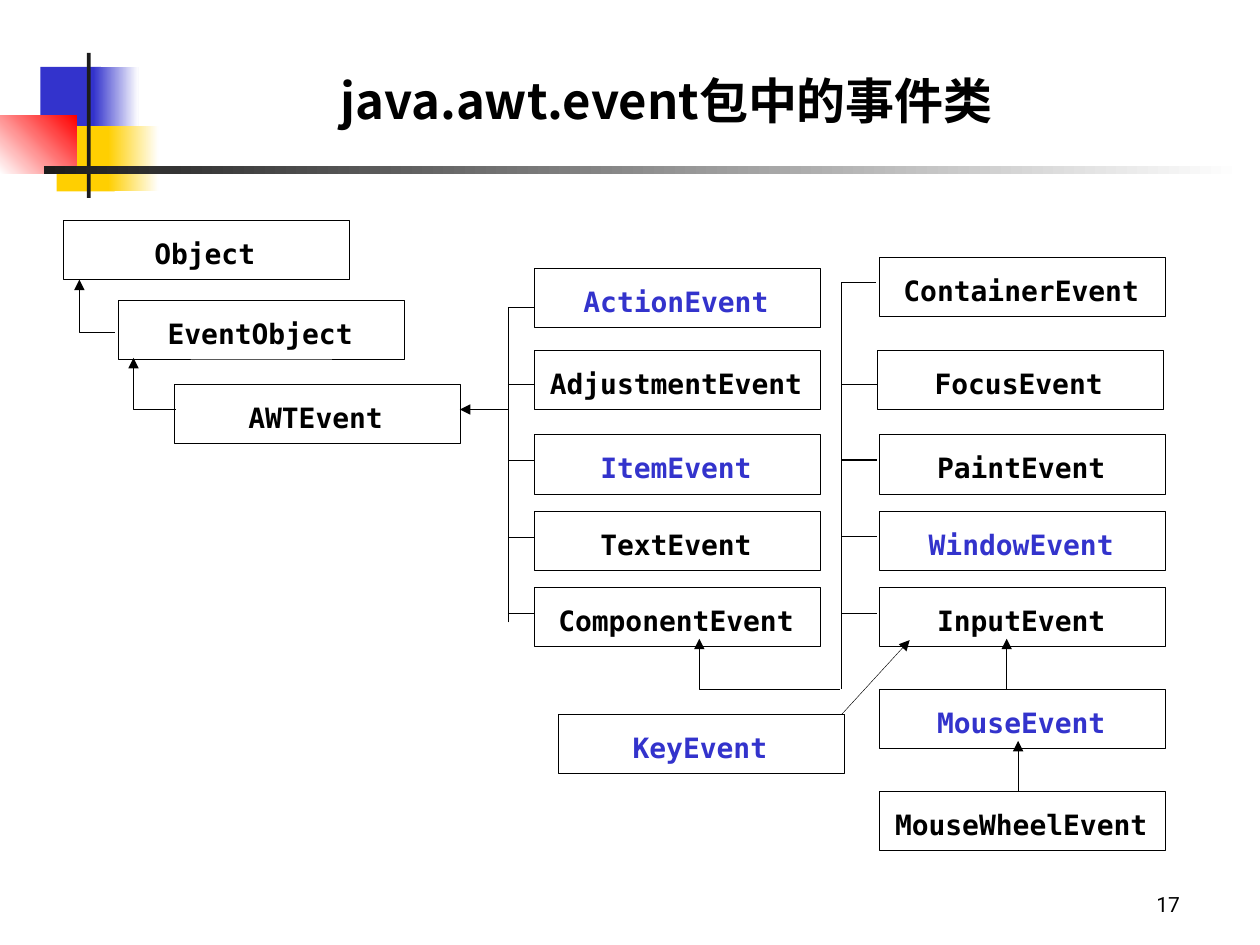
from pptx import Presentation
from pptx.dml.color import RGBColor
from pptx.enum.shapes import MSO_CONNECTOR as Link, MSO_SHAPE as Kind
from pptx.enum.text import MSO_ANCHOR as Anchor, MSO_AUTO_SIZE as Fit, PP_ALIGN as Align
from pptx.oxml.ns import qn
from pptx.util import Inches, Pt
from lxml.etree import SubElement

BLACK, BLUE, GOLD, RED, DARK, WHITE = "000000", "3333CC", "FFCF01", "FF0000", "1C1C1C", "FFFFFF"


def color(code):
    return RGBColor.from_string(code)


class Board:
    """Holds the slide and the style of its parts."""
    mono, head, plain = "DejaVu Sans Mono", "Noto Sans CJK SC", "Roboto"
    wide, high, thin = 2.27, 0.47, 0.25

    def __init__(self, deck):
        self.slide = deck.slides.add_slide(deck.slide_layouts[5])
        self.shapes = self.slide.shapes

    def label(self, frame, text, size, face, tint=BLACK, bold=True, align=Align.CENTER):
        frame.text = text
        para = frame.paragraphs[0]
        para.alignment = align
        font = para.runs[0].font
        font.size, font.name, font.bold = Pt(size), face, bold
        font.color.rgb = color(tint)
        SubElement(para.runs[0]._r.get_or_add_rPr(), qn("a:ea"), typeface=face)
        return para

    def title(self, text, *area):
        shape = self.shapes.title
        shape.left, shape.top, shape.width, shape.height = map(Inches, area)
        frame = shape.text_frame
        frame.vertical_anchor, frame.auto_size = Anchor.BOTTOM, Fit.NONE
        self.label(frame, text, 28, self.head)

    def number(self, text, *area):
        frame = self.shapes.add_textbox(*map(Inches, area)).text_frame
        frame.word_wrap, frame.auto_size = True, Fit.SHAPE_TO_FIT_TEXT
        para = self.label(frame, text, 12, self.plain, bold=False, align=Align.LEFT)
        para.space_before = Pt(6)

    def block(self, area, first, last=None, angle=0):
        shape = self.shapes.add_shape(Kind.RECTANGLE, *map(Inches, area))
        shape.shadow.inherit = False
        shape.line.fill.background()
        fill = shape.fill
        if last is None:
            fill.solid()
            fill.fore_color.rgb = color(first)
            return
        fill.gradient()
        fill.gradient_angle = angle
        for stop, place, tint in zip(fill.gradient_stops, (0, 1), (first, last)):
            stop.position, stop.color.rgb = place, color(tint)

    def box(self, text, left, top, tint=BLACK):
        area = map(Inches, (left, top, self.wide, self.high))
        shape = self.shapes.add_shape(Kind.RECTANGLE, *area)
        shape.shadow.inherit = False
        shape.fill.background()
        self.stroke(shape, self.thin)
        frame = shape.text_frame
        frame.vertical_anchor, frame.word_wrap = Anchor.TOP, True
        frame.margin_left = frame.margin_bottom = 0
        frame.margin_top, frame.margin_right = Inches(0.13), Inches(0.02)
        self.label(frame, text, 16, self.mono, tint)

    def stroke(self, shape, weight, arrow=False):
        shape.line.color.rgb = color(BLACK)
        shape.line.width = Pt(weight)
        if arrow:
            SubElement(shape.line._get_or_add_ln(), qn("a:headEnd"), type="triangle")

    def line(self, start, end, arrow=False, weight=thin):
        ends = map(Inches, (*start, *end))
        link = self.shapes.add_connector(Link.STRAIGHT, *ends)
        self.stroke(link, weight, arrow)
        SubElement(link._element.spPr, qn("a:effectLst"))

    def elbow(self, left, top, right, low):
        spots = [(Inches(x), Inches(y)) for x, y in ((left, top), (left, low), (right, low))]
        maker = self.shapes.build_freeform(*spots[0])
        maker.add_line_segments(spots[1:], close=False)
        shape = maker.convert_to_shape()
        shape.shadow.inherit = False
        shape.fill.background()
        self.stroke(shape, self.thin, True)


def main():
    deck = Presentation()
    deck.slide_width, deck.slide_height = Inches(10), Inches(7.5)
    board = Board(deck)

    for part in (
        ((0.32, 0.53, 0.48, 0.52), BLUE),
        ((0.74, 0.53, 0.36, 0.52), BLUE, WHITE),
        ((0.45, 1, 0.46, 0.52), GOLD),
        ((0.86, 1, 0.4, 0.52), GOLD, WHITE),
        ((0, 0.92, 0.61, 0.46), WHITE, RED, 45),
        ((0.69, 0.42, 0.03, 1.15), DARK),
        ((0.35, 1.32, 9.51, 0.06), DARK, WHITE),
    ):
        board.block(*part)
    board.title("java.awt.event包中的事件类", 1, 0.08, 8.58, 1)
    board.number("17", 9.08, 7.03, 0.83, 0.3)

    mid, right = 4.24, 6.98
    for item in (
        ("Object", 0.5, 1.75),
        ("EventObject", 0.94, 2.38),
        ("AWTEvent", 1.38, 3.05),
        ("ActionEvent", mid, 2.13, BLUE),
        ("AdjustmentEvent", mid, 2.78),
        ("ItemEvent", mid, 3.45, BLUE),
        ("TextEvent", mid, 4.06),
        ("ComponentEvent", mid, 4.66),
        ("KeyEvent", 4.43, 5.67, BLUE),
        ("ContainerEvent", right, 2.04),
        ("FocusEvent", 6.96, 2.78),
        ("PaintEvent", right, 3.45),
        ("WindowEvent", right, 4.06, BLUE),
        ("InputEvent", right, 4.66),
        ("MouseEvent", right, 5.47, BLUE),
        ("MouseWheelEvent", right, 6.28),
    ):
        board.box(*item)

    for bend in ((0.63, 2.22, 0.91, 2.64), (1.06, 2.84, 1.4, 3.25), (5.55, 5.07, 6.67, 5.47)):
        board.elbow(*bend)

    near, far = 4.03, 6.68
    board.line((near, 4.94), (near, 2.44))
    board.line((far, 5.47), (far, 2.24))
    board.line((near, 2.44), (mid, 2.44))
    board.line((far, 2.24), (6.95, 2.24))
    for y in (3.05, 3.65, 4.26, 4.87):
        board.line((near, y), (mid, y))
        board.line((far, y), (6.96, y), weight=0.75)

    for start, end in (
        ((3.65, 3.25), (near, 3.25)),
        ((7.22, 5.08), (far, 5.67)),
        ((7.99, 5.07), (7.99, 5.47)),
        ((8.08, 5.88), (8.08, 6.28)),
    ):
        board.line(start, end, True)

    deck.save("out.pptx")


if __name__ == "__main__":
    main()
